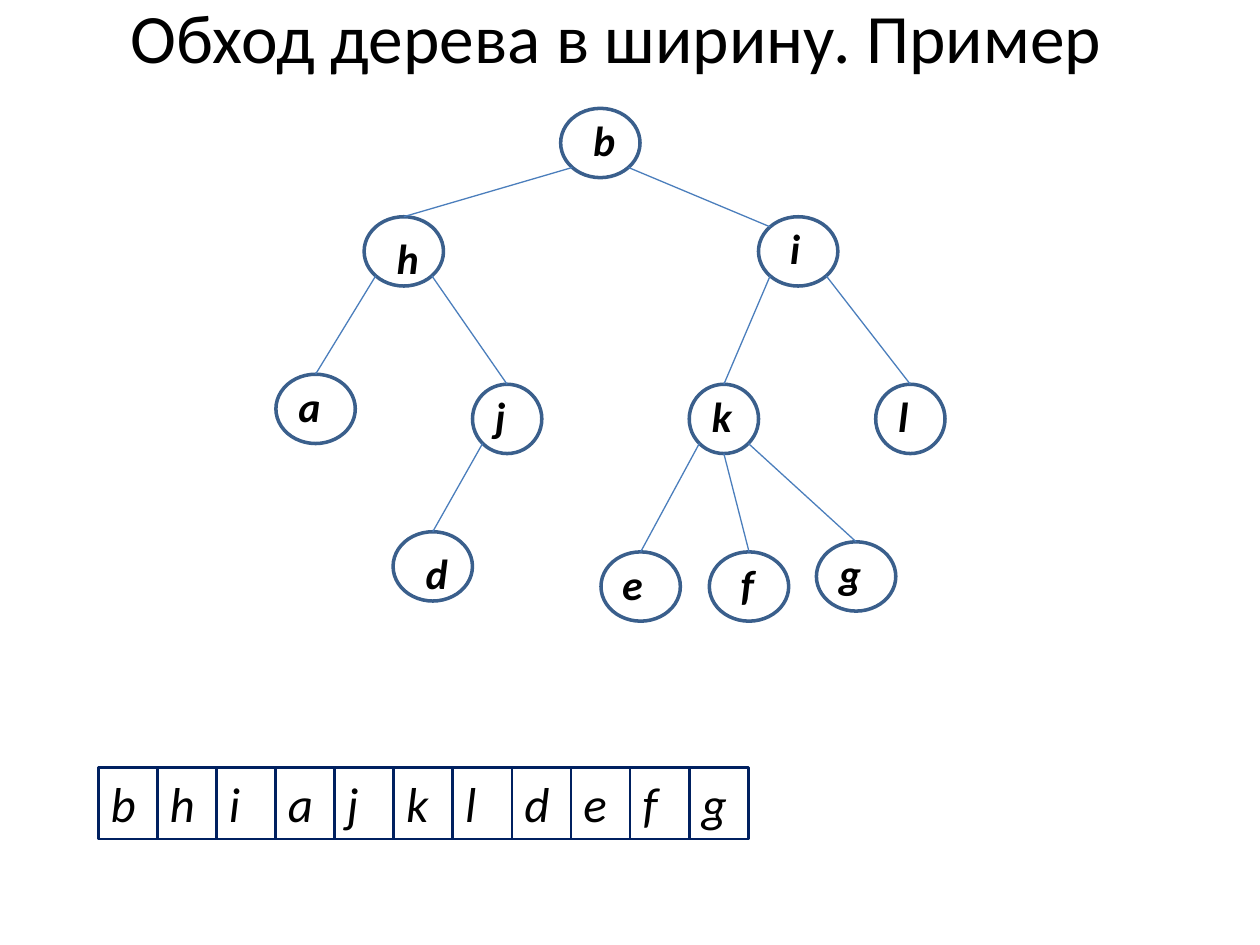
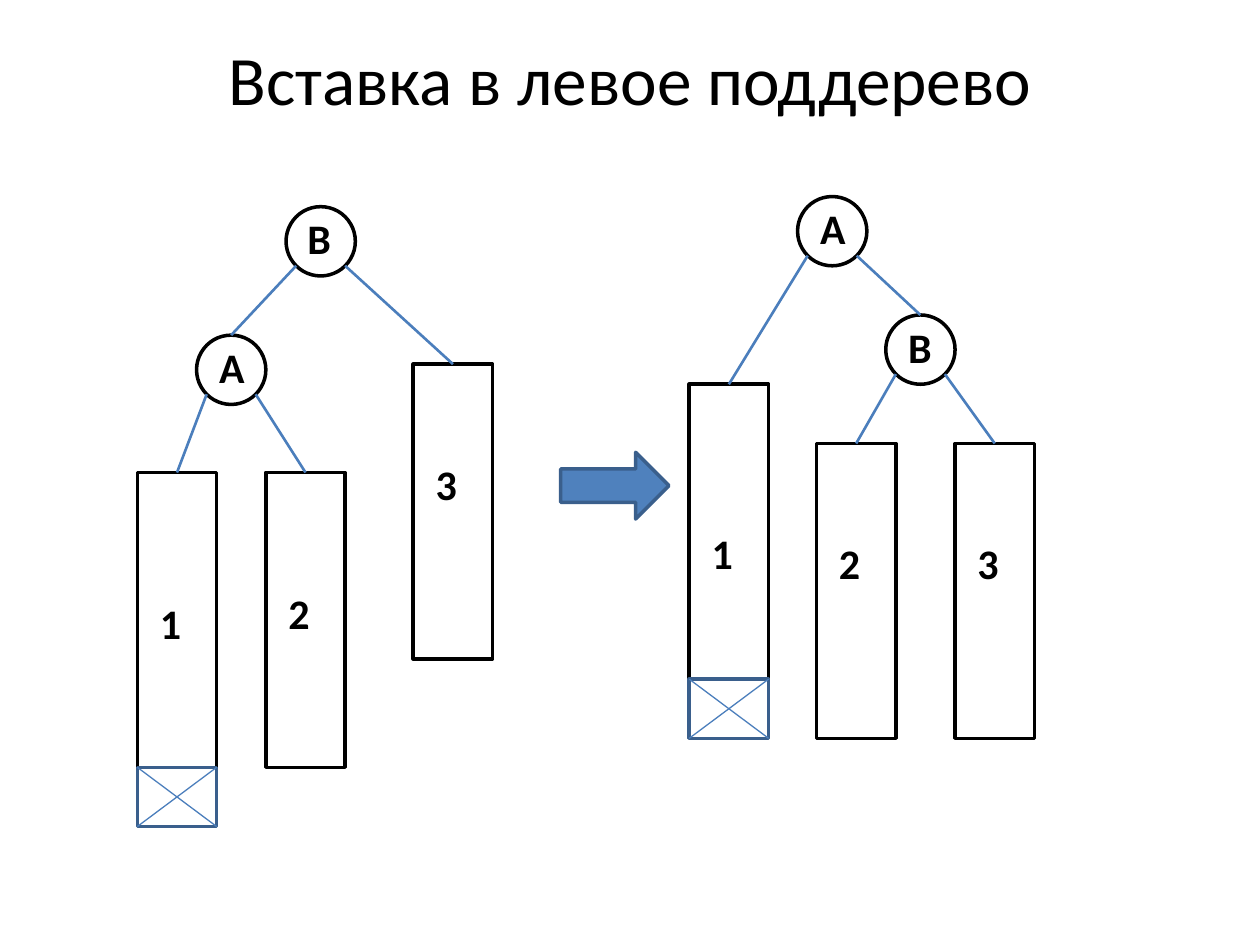
from dataclasses import dataclass
from math import sqrt

from lxml.etree import SubElement
from pptx import Presentation
from pptx.dml.color import RGBColor
from pptx.enum.shapes import MSO_CONNECTOR, MSO_SHAPE
from pptx.enum.text import MSO_ANCHOR, MSO_AUTO_SIZE, PP_ALIGN
from pptx.oxml.ns import qn
from pptx.util import Inches, Pt

BLACK = RGBColor(0x00, 0x00, 0x00)
NAVY = RGBColor(0x00, 0x20, 0x60)
BLUE = RGBColor(0x4F, 0x81, 0xBD)
OUTLINE = RGBColor(0x3A, 0x5F, 0x8C)
EDGE = RGBColor(0x4B, 0x7E, 0xBC)

TITLE = dict(name="Calibri", size=Pt(39.6))
LABEL = dict(name="Calibri", size=Pt(24), bold=True)
ITALIC_LABEL = dict(LABEL, italic=True)
CELL = dict(name="Calibri", size=Pt(28), italic=True)

OVAL, RECT = MSO_SHAPE.OVAL, MSO_SHAPE.RECTANGLE
WIDE, ROUND, BAR_H, LEAF_H = 0.63, 0.55, 2.34, 0.47
DIAGONAL = sqrt(2) / 4
ANCHORS = {
    "top": (0, -0.5),
    "bottom": (0, 0.5),
    "top left": (-DIAGONAL, -DIAGONAL),
    "bottom left": (-DIAGONAL, DIAGONAL),
    "bottom right": (DIAGONAL, DIAGONAL),
}


@dataclass
class Node:
    text: str
    x: float
    y: float
    w: float
    h: float
    dx: float
    dy: float
    label_w: float
    kind: MSO_SHAPE = OVAL

    def anchor(self, side: str) -> tuple[float, float]:
        fx, fy = ANCHORS[side]
        return self.x + self.w * (0.5 + fx), self.y + self.h * (0.5 + fy)


@dataclass
class Edge:
    parent: str
    child: str
    start: str
    end: str = "top"


def letter(text, x, y, dx, label_w, w=WIDE, dy=0.0) -> Node:
    return Node(text, x, y, w, ROUND, dx, dy, label_w)


def bar(text, x, y, dy) -> Node:
    return Node(text, x, y, WIDE, BAR_H, 0.08, dy, 0.37, RECT)


def add_title_slide(text, x, y, w, h):
    s = prs.slides.add_slide(prs.slide_layouts[5])
    title = s.shapes.title
    title.left, title.top, title.width, title.height = map(Inches, (x, y, w, h))
    tf = title.text_frame
    tf.auto_size = MSO_AUTO_SIZE.NONE
    tf.vertical_anchor = MSO_ANCHOR.MIDDLE
    write(tf, text, TITLE, PP_ALIGN.CENTER)
    return s


def write(tf, text: str, style: dict, align=PP_ALIGN.LEFT) -> None:
    p = tf.paragraphs[0]
    p.alignment = align
    r = p.add_run()
    r.text = text
    for name, value in style.items():
        setattr(r.font, name, value)
    r.font.color.rgb = BLACK


def add_shape(s, kind, x, y, w, h, color, weight=2.0, fill=None):
    sp = s.shapes.add_shape(kind, *map(Inches, (x, y, w, h)))
    sp.shadow.inherit = False
    if fill is None:
        sp.fill.background()
    else:
        sp.fill.solid()
        sp.fill.fore_color.rgb = fill
    sp.line.color.rgb = color
    sp.line.width = Pt(weight)
    return sp


def add_line(s, start, end, weight: float) -> None:
    line = s.shapes.add_connector(MSO_CONNECTOR.STRAIGHT, *map(Inches, (*start, *end)))
    line.line.color.rgb = EDGE
    line.line.width = Pt(weight)
    SubElement(line._element.spPr, qn("a:effectLst"))


def add_label(s, node: Node, style: dict) -> None:
    box = (node.x + node.dx, node.y + node.dy, node.label_w, 0.5)
    tf = s.shapes.add_textbox(*map(Inches, box)).text_frame
    tf.word_wrap = False
    tf.auto_size = MSO_AUTO_SIZE.SHAPE_TO_FIT_TEXT
    write(tf, node.text, style)


def add_tree(s, nodes, edges, color, weight: float, style: dict) -> None:
    by_text = {node.text: node for node in nodes}
    for n in nodes:
        add_shape(s, n.kind, n.x, n.y, n.w, n.h, color)
    for e in edges:
        start = by_text[e.parent].anchor(e.start)
        add_line(s, start, by_text[e.child].anchor(e.end), weight)
    for n in nodes:
        add_label(s, n, style)


def add_new_leaf(s, x: float, y: float) -> None:
    add_shape(s, RECT, x, y, WIDE, LEAF_H, OUTLINE)
    right, bottom = x + WIDE, y + LEAF_H
    add_line(s, (x, y), (right, bottom), 0.75)
    add_line(s, (right, y), (x, bottom), 0.75)


def add_queue(s, letters: str, first: float, last: float) -> None:
    pitch = (last - first) / (len(letters) - 1)
    for i, text in enumerate(letters):
        sp = add_shape(s, RECT, first + i * pitch, 6.09, 0.47, 0.57, NAVY, 1.5)
        sp.text_frame.vertical_anchor = MSO_ANCHOR.MIDDLE
        write(sp.text_frame, text, CELL)


LETTERS = [
    letter("b", 4.45, 0.86, 0.16, 0.39),
    letter("h", 2.89, 1.72, 0.16, 0.38, dy=0.08),
    letter("i", 6.02, 1.72, 0.15, 0.28),
    letter("a", 2.19, 2.97, 0.08, 0.38),
    letter("j", 3.75, 3.05, 0.08, 0.29, ROUND),
    letter("k", 5.47, 3.05, 0.08, 0.37, ROUND),
    letter("l", 6.95, 3.05, 0.08, 0.28, ROUND),
    letter("d", 3.12, 4.22, 0.16, 0.38, dy=0.08),
    letter("e", 4.77, 4.38, 0.07, 0.37),
    letter("f", 5.63, 4.38, 0.15, 0.31),
    letter("g", 6.48, 4.3, 0.08, 0.35),
]
LETTER_EDGES = [
    Edge("b", "h", "bottom left"),
    Edge("b", "i", "bottom right", "top left"),
    Edge("h", "a", "bottom left"),
    Edge("h", "j", "bottom right"),
    Edge("i", "k", "bottom left"),
    Edge("i", "l", "bottom right"),
    Edge("j", "d", "bottom left"),
    Edge("k", "e", "bottom left"),
    Edge("k", "f", "bottom"),
    Edge("k", "g", "bottom right"),
]

BEFORE = [
    letter("B", 2.27, 1.64, 0.07, 0.41, ROUND),
    letter("A", 1.56, 2.66, 0.08, 0.41, ROUND),
    bar("1", 1.09, 3.75, 0.94),
    bar("2", 2.11, 3.75, 0.86),
    bar("3", 3.28, 2.89, 0.7),
]
BEFORE_EDGES = [
    Edge("B", "A", "bottom left"),
    Edge("B", "3", "bottom right"),
    Edge("A", "1", "bottom left"),
    Edge("A", "2", "bottom right"),
]
AFTER = [
    letter("A", 6.33, 1.56, 0.08, 0.41, ROUND),
    letter("B", 7.03, 2.5, 0.08, 0.39, ROUND),
    bar("1", 5.47, 3.05, 1.09),
    bar("2", 6.48, 3.52, 0.7),
    bar("3", 7.58, 3.52, 0.7),
]
AFTER_EDGES = [
    Edge("A", "1", "bottom left"),
    Edge("A", "B", "bottom right"),
    Edge("B", "2", "bottom left"),
    Edge("B", "3", "bottom right"),
]

prs = Presentation()
prs.slide_width, prs.slide_height = Inches(10), Inches(7.5)

s = add_title_slide("Обход дерева в ширину. Пример", 0.39, 0, 9, 0.56)
add_tree(s, LETTERS, LETTER_EDGES, OUTLINE, 0.75, ITALIC_LABEL)
add_queue(s, "".join(n.text for n in LETTERS), 0.78, 5.47)

s = add_title_slide("Вставка в левое поддерево", 0.5, 0.3, 9, 0.64)
for nodes, edges in ((BEFORE, BEFORE_EDGES), (AFTER, AFTER_EDGES)):
    add_tree(s, nodes, edges, BLACK, 1.5, LABEL)
    grown = nodes[2]
    add_new_leaf(s, grown.x, grown.y + grown.h)
add_shape(s, MSO_SHAPE.RIGHT_ARROW, 4.45, 3.59, 0.86, 0.53, OUTLINE, fill=BLUE)

prs.save("out.pptx")
